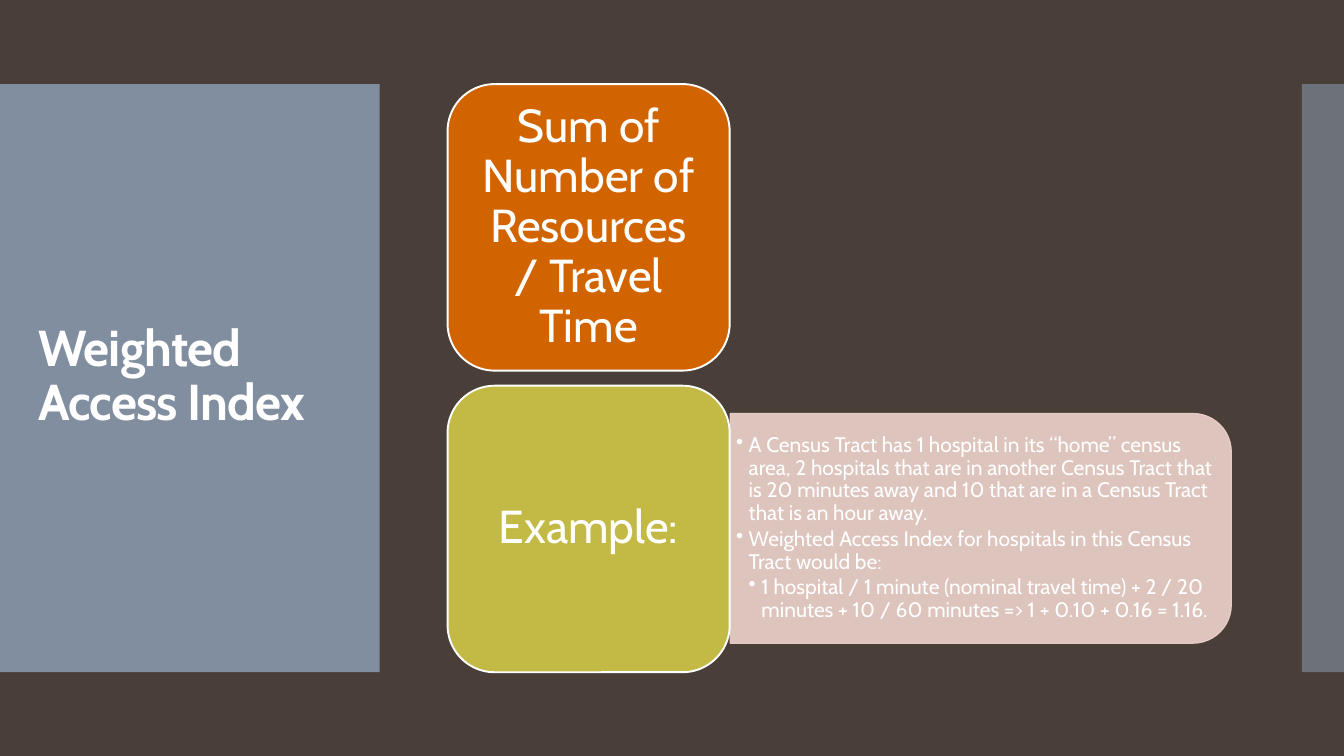
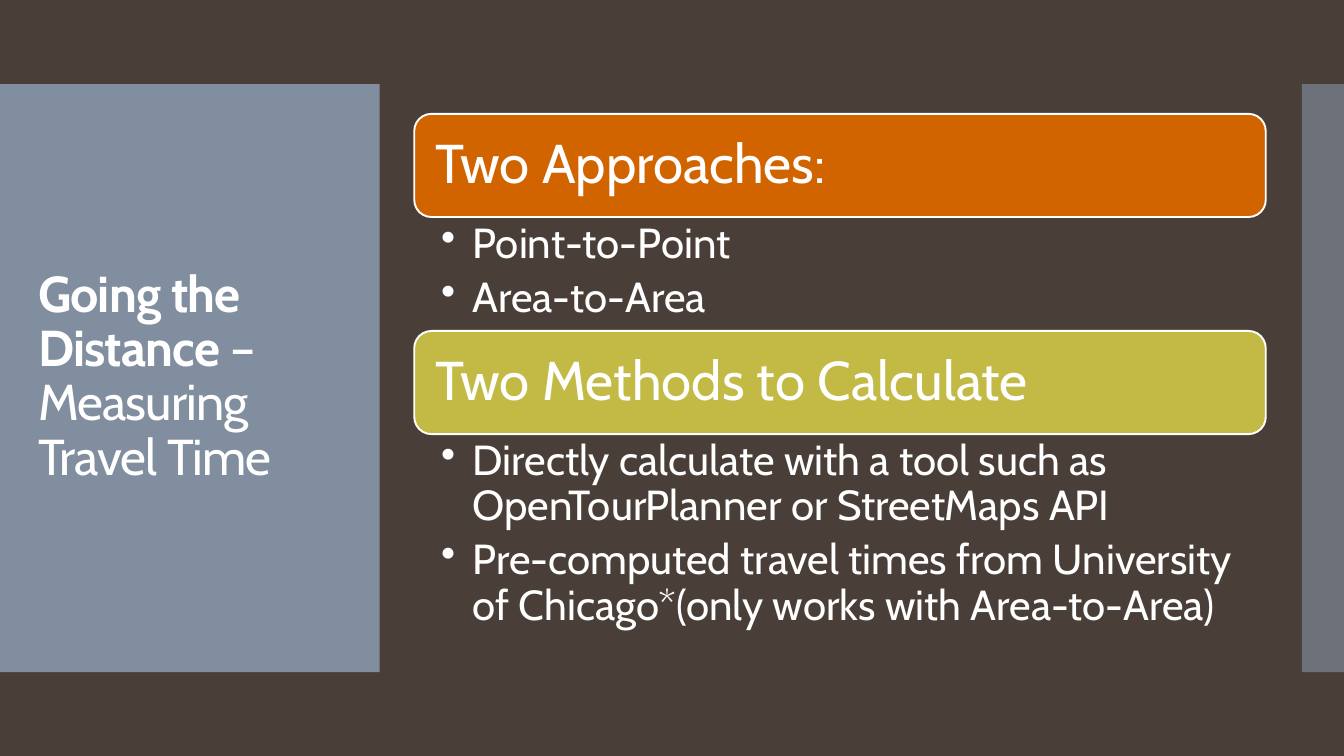
from lxml.etree import SubElement
from pptx import Presentation
from pptx.dml.color import RGBColor
from pptx.enum.shapes import MSO_SHAPE as Preset
from pptx.enum.text import MSO_ANCHOR as Anchor, PP_ALIGN as Align
from pptx.oxml.ns import qn
from pptx.util import Cm, Pt

COLORS = {
    "ground": "4A3F38",
    "panel": "818E9F",
    "orange": "D26400",
    "olive": "C3BA45",
    "blush": "EED3CC",
    "white": "FFFFFF",
}
FONT = "Cabin"
PANEL_TOP, PANEL_HEIGHT = 2.12, 14.82


def color(name):
    return RGBColor.from_string(COLORS[name])


class Deck:
    """Holds the shared style and the slide being built; lengths are in cm."""

    def __init__(self):
        self.prs = Presentation()
        self.prs.slide_width, self.prs.slide_height = Cm(33.87), Cm(19.05)
        self.slide = None

    def new_slide(self, *title_parts):
        """Add a slide with its side panels and a title of (text, bold) parts."""
        self.slide = self.prs.slides.add_slide(self.prs.slide_layouts[6])
        ground = self.slide.background.fill
        ground.solid()
        ground.fore_color.rgb = color("ground")
        for left, width, opacity in ((0, 9.57, 100), (32.81, 1.06, 64)):
            self.shape(Preset.RECTANGLE, (left, PANEL_TOP, width, PANEL_HEIGHT),
                       "panel", opacity=opacity)
        frame = self.text_box((0.71, 3.12, 8.18, 12.78), (0.25, 0.13, 0.25, 0.13),
                              Anchor.MIDDLE)
        heading = frame.paragraphs[0]
        for text, bold in title_parts:
            run = heading.add_run()
            run.text = text
            run.font.bold = bold
            run._r.get_or_add_rPr().set("spc", "-60")
        self.style(heading, 36)

    def shape(self, preset, box, fill, line=None, line_width=1.35, opacity=100):
        shape = self.slide.shapes.add_shape(preset, *map(Cm, box))
        shape.shadow.inherit = False
        shape.fill.solid()
        shape.fill.fore_color.rgb = color(fill)
        if line:
            shape.line.color.rgb = color(line)
            shape.line.width = Pt(line_width)
        else:
            shape.line.fill.background()
        if opacity < 100:
            for paint in shape._element.spPr.iter(qn("a:srgbClr")):
                SubElement(paint, qn("a:alpha"), val=str(opacity * 1000))
        return shape

    def card(self, box, fill, text, size, insets, align):
        """Rounded card with its label inside."""
        card = self.shape(Preset.ROUNDED_RECTANGLE, box, fill, line="white")
        frame = self.set_frame(card.text_frame, insets, Anchor.MIDDLE)
        frame.text = text
        frame.paragraphs[0].alignment = align
        self.style(frame.paragraphs[0], size)

    def side_tab(self, box, fill):
        """Tab rounded on the right only: a top-rounded shape turned by 90°."""
        left, top, width, height = box
        shift = (width - height) / 2
        tab = self.shape(Preset.ROUND_2_SAME_RECTANGLE,
                         (left + shift, top - shift, height, width),
                         fill, line=fill, line_width=0.85, opacity=90)
        tab.rotation = 90

    def bullets(self, box, items, size, step, gap, insets, anchor=Anchor.TOP):
        """Bulleted list of (text, level) items; each level indents by step."""
        frame = self.text_box(box, insets, anchor)
        for index, (text, level) in enumerate(items):
            item = frame.add_paragraph() if index else frame.paragraphs[0]
            item.text = text
            item.space_after = Pt(gap)
            self.style(item, size)
            props = item._p.get_or_add_pPr()
            props.set("marL", str(Cm(step * level)))
            props.set("indent", str(-Cm(step)))
            SubElement(props, qn("a:buChar"), char="•")

    def text_box(self, box, insets, anchor):
        frame = self.slide.shapes.add_textbox(*map(Cm, box)).text_frame
        return self.set_frame(frame, insets, anchor)

    @staticmethod
    def set_frame(frame, insets, anchor):
        frame.word_wrap = True
        frame.vertical_anchor = anchor
        (frame.margin_left, frame.margin_top,
         frame.margin_right, frame.margin_bottom) = map(Cm, insets)
        return frame

    @staticmethod
    def style(paragraph, size):
        paragraph.line_spacing = 0.9
        for run in paragraph.runs:
            run.font.name = FONT
            run.font.size = Pt(size)
            run.font.color.rgb = color("white")


def access_index(deck):
    deck.new_slide(("Weighted Access Index", True))

    # Explanation beside the example card
    deck.side_tab((18.4, 10.42, 12.63, 5.79), "blush")
    deck.bullets(
        (18.4, 10.7, 12.34, 5.22),
        [("A Census Tract has 1 hospital in its “home” census area, 2 hospitals "
          "that are in another Census Tract that is 20 minutes away and 10 that "
          "are in a Census Tract that is an hour away.", 1),
         ("Weighted Access Index for hospitals in this Census Tract would be:", 1),
         ("1 hospital / 1 minute (nominal travel time) + 2 / 20 minutes + "
          "10 / 60 minutes => 1 + 0.10 + 0.16 = 1.16.", 2)],
        size=15, step=0.32, gap=2.25, insets=(0.15, 0.08, 0.15, 0.08),
        anchor=Anchor.MIDDLE)

    # Formula and example cards, filling the height of the panels
    gap = 0.38
    height = (PANEL_HEIGHT - gap) / 2
    cards = (("Sum of Number of Resources / Travel Time", "orange"),
             ("Example:", "olive"))
    for row, (label, fill) in enumerate(cards):
        deck.card((11.28, PANEL_TOP + row * (height + gap), 7.11, height), fill,
                  label, 33, (0.35, 0.17, 0.35, 0.17), Align.CENTER)


def travel_time(deck):
    deck.new_slide(("Going the Distance ", True), ("– Measuring Travel Time", False))

    # Heading bars, each followed by its list
    left, width, bar_height = 10.44, 21.46, 2.6
    sections = (
        ("Two Approaches:", "orange", 2.87,
         ("Point-to-Point", "Area-to-Area")),
        ("Two Methods to Calculate", "olive", 5.26,
         ("Directly calculate with a tool such as OpenTourPlanner or StreetMaps API",
          "Pre-computed travel times from University of Chicago*"
          "(only works with Area-to-Area)")),
    )
    top = 2.87
    for heading, fill, list_height, items in sections:
        deck.card((left, top, width, bar_height), fill, heading, 39,
                  (0.41, 0.41, 0.41, 0.41), Align.LEFT)
        top += bar_height
        deck.bullets((left, top, width, list_height), [(item, 1) for item in items],
                     size=30, step=0.79, gap=6, insets=(0.68, 0.13, 0.76, 0.13))
        top += list_height


def main():
    deck = Deck()
    access_index(deck)
    travel_time(deck)
    deck.prs.save("out.pptx")


if __name__ == "__main__":
    main()
